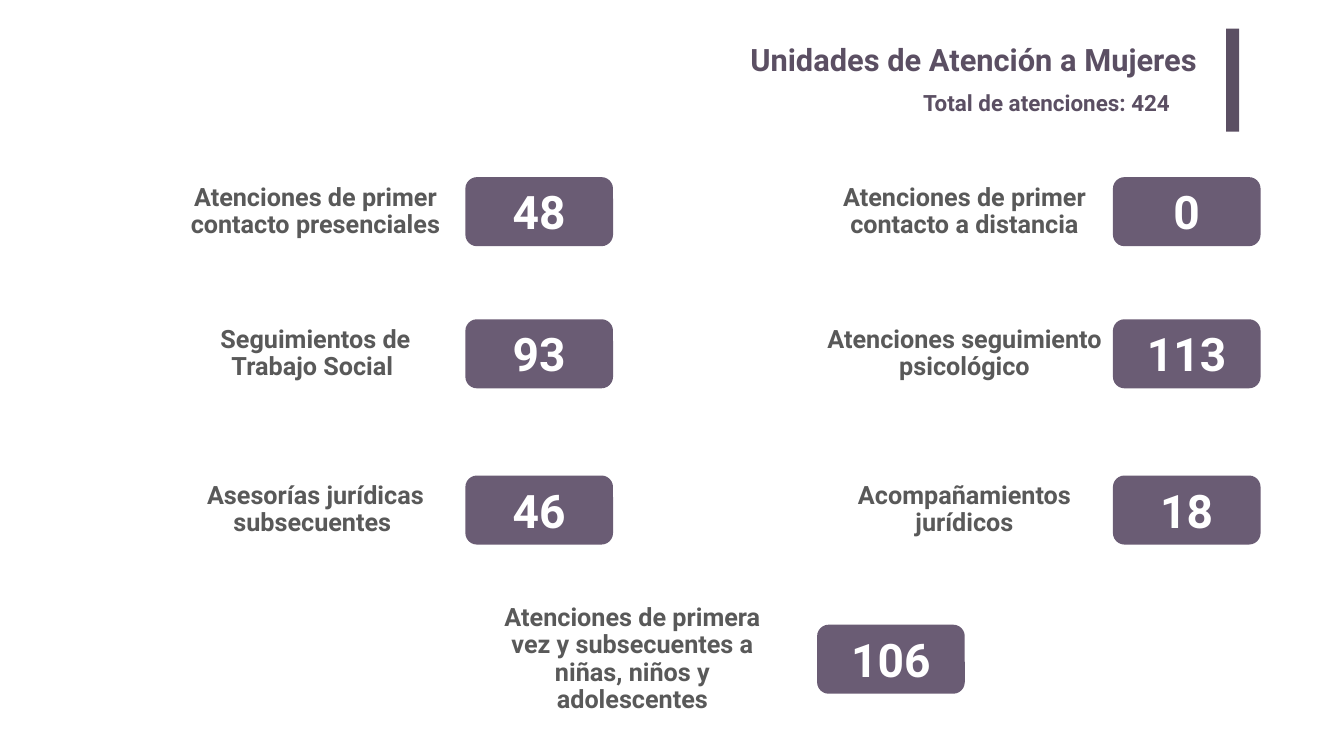
from pptx import Presentation
from pptx.dml.color import RGBColor
from pptx.enum.shapes import MSO_SHAPE
from pptx.enum.text import MSO_ANCHOR, MSO_AUTO_SIZE, PP_ALIGN
from pptx.util import Inches, Pt

RECTANGLE, ROUNDED = MSO_SHAPE.RECTANGLE, MSO_SHAPE.ROUNDED_RECTANGLE
LEFT, CENTER, RIGHT = PP_ALIGN.LEFT, PP_ALIGN.CENTER, PP_ALIGN.RIGHT
TOP, MIDDLE = MSO_ANCHOR.TOP, MSO_ANCHOR.MIDDLE
FIXED, GROW = MSO_AUTO_SIZE.NONE, MSO_AUTO_SIZE.SHAPE_TO_FIT_TEXT

COLORS = {"heading": "5B4F63", "card": "6A5C74", "label": "595959", "figure": "FFFFFF"}
CARD_W, CARD_H = 2.93, 1.37
FIGURE_W, FIGURE_H = 2.04, 1.21

# Centres of the label and the card in each column, and of each row
COLUMNS = {"left": (6.26, 10.7), "right": (19.14, 23.55), "bottom": (12.55, 17.68)}
ROWS = (4.2, 7.02, 10.12, 13.08)

# column, row, label, label width, label height, figure
SERVICES = [
    ("left", 0, "Atenciones de primer contacto presenciales", 5.48, 1.37, "48"),
    ("right", 0, "Atenciones de primer contacto a distancia", 5.16, 1.21, "0"),
    ("left", 1, "Seguimientos de Trabajo Social ", 5.58, 1.41, "93"),
    ("right", 1, "Atenciones seguimiento psicológico", 7.81, 0.53, "113"),
    ("left", 2, "Asesorías jurídicas subsecuentes ", 6.05, 0.8, "46"),
    ("right", 2, "Acompañamientos jurídicos", 6.46, 0.64, "18"),
    ("bottom", 3, "Atenciones de primera vez y subsecuentes a niñas, niños y adolescentes",
     6, 0.49, "106"),
]


def centered(x, y, width, height):
    """Left, top, width and height of a box centred on x, y."""
    return x - width / 2, y - height / 2, width, height


class SlideBuilder:
    font = "Roboto"

    def __init__(self, slide):
        self.slide = slide

    def fill_text(self, frame, text, size, color, align, anchor=TOP, autosize=FIXED):
        """Put one styled paragraph in the frame and return it."""
        frame.word_wrap = True
        frame.auto_size = autosize
        frame.vertical_anchor = anchor
        paragraph = frame.paragraphs[0]
        paragraph.text = text
        paragraph.alignment = align
        font = paragraph.font
        font.name, font.size, font.bold = self.font, Pt(size), True
        font.color.rgb = RGBColor.from_string(COLORS[color])
        return paragraph

    def title(self, text, box):
        title = self.slide.shapes.title
        title.left, title.top, title.width, title.height = map(Inches, box)
        frame = title.text_frame
        frame.margin_left = frame.margin_right = Inches(0.2)
        frame.margin_top = frame.margin_bottom = Inches(0.1)
        self.fill_text(frame, text, 44, "heading", RIGHT, MIDDLE)

    def text(self, text, box, size, color, align, **layout):
        frame = self.slide.shapes.add_textbox(*map(Inches, box)).text_frame
        return self.fill_text(frame, text, size, color, align, **layout)

    def block(self, kind, box, color):
        block = self.slide.shapes.add_shape(kind, *map(Inches, box))
        block.shadow.inherit = False
        block.fill.solid()
        block.fill.fore_color.rgb = RGBColor.from_string(COLORS[color])
        block.line.fill.background()

    def service(self, column, row, label, width, height, figure):
        """Label with its figure on a rounded card beside it."""
        label_x, card_x = COLUMNS[column]
        y = ROWS[row]
        paragraph = self.text(label, centered(label_x, y, width, height), 36, "label",
                              CENTER, anchor=MIDDLE)
        paragraph.line_spacing = 0.9
        self.block(ROUNDED, centered(card_x, y, CARD_W, CARD_H), "card")
        self.text(figure, centered(card_x, y, FIGURE_W, FIGURE_H), 66, "figure",
                  CENTER, autosize=GROW)


def main():
    deck = Presentation()
    deck.slide_width, deck.slide_height = Inches(26.67), Inches(15)
    title_only = deck.slide_layouts[5]
    builder = SlideBuilder(deck.slides.add_slide(title_only))

    builder.title("Unidades de Atención a Mujeres", (3.66, 0.67, 20.3, 1.02))
    builder.block(RECTANGLE, (24.33, 0.57, 0.26, 2.04), "heading")
    builder.text("Total de atenciones: 424", (18.22, 1.71, 5.92, 0.64), 32, "heading",
                 LEFT, autosize=GROW)
    for service in SERVICES:
        builder.service(*service)

    deck.save("out.pptx")


if __name__ == "__main__":
    main()
